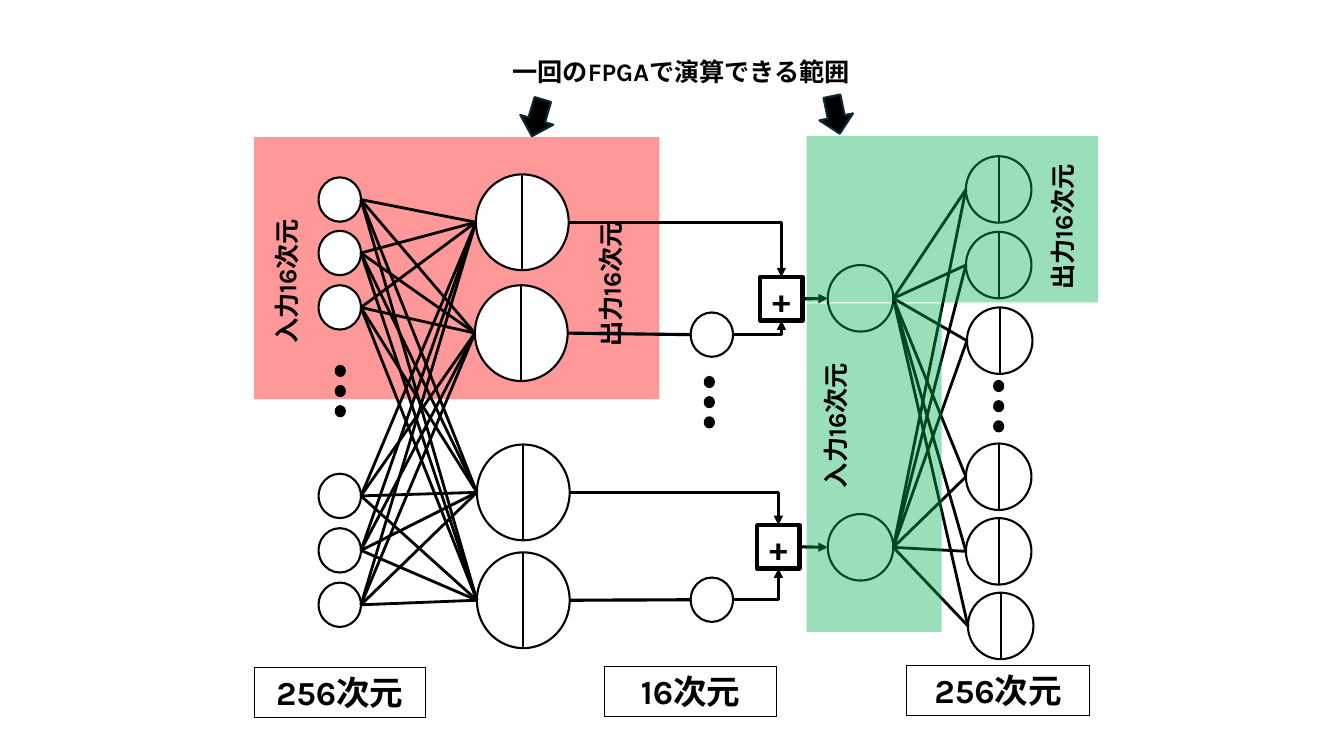
from lxml import etree
from pptx import Presentation
from pptx import util as u
from pptx.dml.color import RGBColor
from pptx.enum import shapes, text
from pptx.oxml.ns import qn

# Content: neurons as (left, top), lengths in inches
TITLE = "一回のFPGAで演算できる範囲"
INPUTS = [(3.16, top) for top in (1.76, 2.29, 2.83, 4.7, 5.24, 5.78)]
HIDDEN = [(4.72, 1.73), (4.71, 2.83), (4.73, 4.41), (4.73, 5.48)]
GATES = [(6.85, 3.1), (6.85, 5.73)]
SUMS = [(7.54, 2.75), (7.51, 5.21)]
LATENT = [(8.21, 2.63), (8.21, 5.1)]
OUTPUTS = [(9.58, 1.55), (9.58, 2.3), (9.59, 3.05),
           (9.58, 4.4), (9.58, 5.14), (9.6, 5.88)]
DOTS = [(3.33, 3.63), (9.86, 3.78), (6.99, 3.74)]
DIMENSIONS = [("256次元", 2.52, 6.62, 1.7), ("16次元", 6, 6.61, 1.7),
              ("256次元", 8.99, 6.6, 1.82)]
SIDE_LABELS = [("入力16次元", 1.84, 2.31), ("入力16次元", 7.29, 3.74),
               ("出力16次元", 5.06, 2.34), ("出力16次元", 9.54, 1.77)]
FIRST_RANGE = [(2.52, 1.36, 4.02, 2.6)]
SECOND_RANGE = [(8, 1.35, 2.89, 1.65), (8, 3.01, 1.34, 3.26)]
RANGE_ARROWS = [(5.16, 0.98, 16.5), (8.12, 0.95, 348.2)]

# Sizes and formats
SMALL, LARGE, MEDIUM = (0.42, 0.44), (0.92, 0.95), (0.65, 0.66)
SUM, DOT, ARROW = (0.42, 0.43), (0.09, 0.1), (0.34, 0.38)
DOT_STEP = 0.2
BLACK, WHITE, RED, GREEN = "000000", "FFFFFF", "FF0000", "00B050"
FONT = {"name": "Karla", "bold": True}
OVAL = shapes.MSO_SHAPE.OVAL
RECTANGLE = shapes.MSO_SHAPE.RECTANGLE

deck = Presentation()
deck.slide_width, deck.slide_height = u.Inches(13.33), u.Inches(7.5)
page = deck.slides.add_slide(deck.slide_layouts[5])


def color(value):
    return RGBColor.from_string(value)


def inches(*values):
    return [u.Inches(value) for value in values]


def write(box, words, size, align, anchor=text.MSO_ANCHOR.TOP):
    frame = box.text_frame
    settings = {"word_wrap": True, "auto_size": text.MSO_AUTO_SIZE.NONE,
                "vertical_anchor": anchor}
    for name, value in settings.items():
        setattr(frame, name, value)
    para = frame.paragraphs[0]
    para.alignment = align
    span = para.add_run()
    span.text = words
    for name, value in {**FONT, "size": u.Pt(size)}.items():
        setattr(span.font, name, value)
    span.font.color.rgb = color(BLACK)


def add_part(kind, place, size, fill=None, line=BLACK, width=1.5, parent=page):
    part = parent.shapes.add_shape(kind, *inches(*place, *size))
    part.shadow.inherit = False
    if fill:
        part.fill.solid()
        part.fill.fore_color.rgb = color(fill)
    else:
        part.fill.background()
    if line:
        part.line.color.rgb = color(line)
        part.line.width = u.Pt(width)
    else:
        part.line.fill.background()
    return part


def add_link(start, end, width, arrow=False, bent=False, parent=page):
    kind = shapes.MSO_CONNECTOR.ELBOW if bent else shapes.MSO_CONNECTOR.STRAIGHT
    link = parent.shapes.add_connector(kind, *inches(*start, *end))
    link.line.color.rgb = color(BLACK)
    link.line.width = u.Pt(width)
    properties = link._element.spPr
    if bent:
        properties.find(qn("a:prstGeom")).set("prst", "bentConnector2")
    if arrow:
        tail = etree.SubElement(properties.find(qn("a:ln")), qn("a:tailEnd"))
        tail.set("type", "triangle")
    etree.SubElement(properties, qn("a:effectLst"))


def add_divided_neuron(place, size):
    group = page.shapes.add_group_shape()
    add_part(OVAL, place, size, WHITE, parent=group)
    (left, top), (width, height) = place, size
    middle = left + width / 2
    add_link((middle, top), (middle, top + height), 1.5, parent=group)


def add_range(place, fill):
    area = add_part(RECTANGLE, place[:2], place[2:], fill, line=None)
    tint = area._element.spPr.find(qn("a:solidFill"))[0]
    etree.SubElement(tint, qn("a:alpha")).set("val", "40000")


def left_edge(place, size):
    return place[0], place[1] + size[1] / 2


def right_edge(place, size):
    return place[0] + size[0], place[1] + size[1] / 2


def connect_layers(sources, source_size, targets, target_size):
    for source in sources:
        for target in targets:
            add_link(right_edge(source, source_size),
                     left_edge(target, target_size), 2)


# Title
title = page.shapes.title
title.left, title.top, title.width, title.height = inches(4.98, 0.51, 4.36, 0.4)
write(title, TITLE, 18, text.PP_ALIGN.LEFT)

# First range lies behind the network
for place in FIRST_RANGE:
    add_range(place, RED)

# Neurons
for place in INPUTS + GATES:
    add_part(OVAL, place, SMALL, WHITE)
for place in LATENT:
    add_part(OVAL, place, MEDIUM, WHITE)
for layer, size in ((HIDDEN, LARGE), (OUTPUTS, MEDIUM)):
    for place in layer:
        add_divided_neuron(place, size)

# Fully connected layers
connect_layers(INPUTS, SMALL, HIDDEN, LARGE)
connect_layers(LATENT, MEDIUM, OUTPUTS, MEDIUM)

# Each pair of hidden neurons feeds one sum, the lower one through a gate
for upper, lower, gate, place, latent in zip(
        HIDDEN[::2], HIDDEN[1::2], GATES, SUMS, LATENT):
    box = add_part(RECTANGLE, place, SUM, width=3)
    write(box, "+", 24, text.PP_ALIGN.CENTER, text.MSO_ANCHOR.MIDDLE)
    middle = place[0] + SUM[0] / 2
    add_link(right_edge(upper, LARGE), (middle, place[1]), 2.25, True, True)
    add_link(right_edge(lower, LARGE), left_edge(gate, SMALL), 2.25)
    add_link(right_edge(gate, SMALL), (middle, place[1] + SUM[1]), 2.25, True, True)
    add_link(right_edge(place, SUM), left_edge(latent, MEDIUM), 2.25, True)

# Ellipsis dots
for left, top in DOTS:
    group = page.shapes.add_group_shape()
    for row in range(3):
        add_part(OVAL, (left, top + row * DOT_STEP), DOT, BLACK, parent=group)

# Dimension boxes
for words, left, top, width in DIMENSIONS:
    box = add_part(RECTANGLE, (left, top), (width, 0.5), width=0.75)
    write(box, words, 24, text.PP_ALIGN.CENTER)

# Second range covers the network
for place in SECOND_RANGE:
    add_range(place, GREEN)

# Rotated labels and range arrows
for words, left, top in SIDE_LABELS:
    box = page.shapes.add_textbox(*inches(left, top, 2, 0.4))
    box.rotation = 270
    write(box, words, 18, text.PP_ALIGN.LEFT)
for left, top, angle in RANGE_ARROWS:
    arrow = add_part(shapes.MSO_SHAPE.DOWN_ARROW, (left, top), ARROW, BLACK, "092A39")
    arrow.rotation = angle

deck.save("out.pptx")
